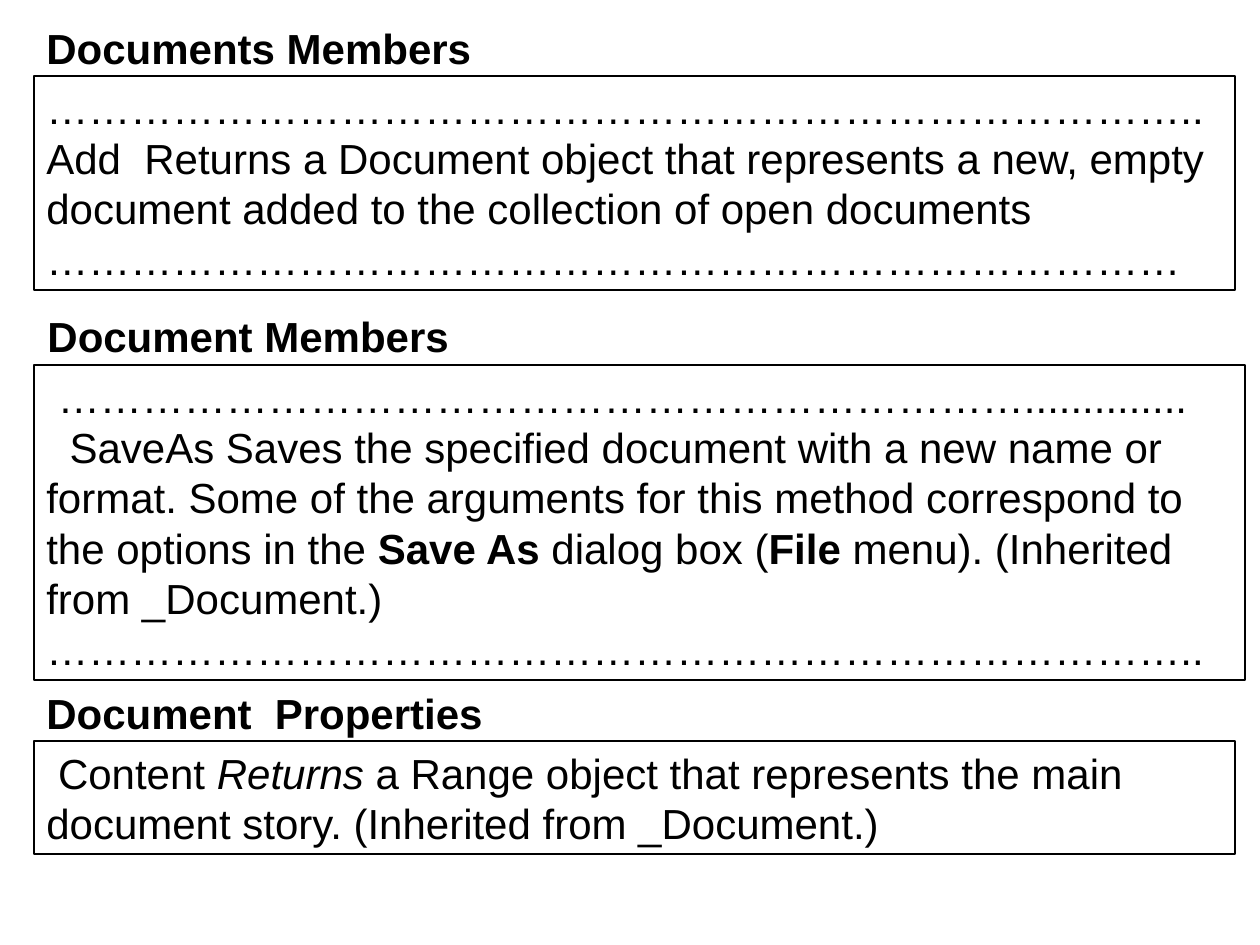
import pptx
import pptx.dml.color
import pptx.enum.shapes
import pptx.enum.text
import pptx.util
from dataclasses import dataclass

PX_PER_INCH = 126


@dataclass(frozen=True)
class Theme:
    font: str = "Arial"
    ink: pptx.dml.color.RGBColor = pptx.dml.color.RGBColor(0, 0, 0)
    text_pt: float = 24
    line_pt: float = 28.8
    border_pt: float = 0.75


@dataclass(frozen=True)
class Span:
    text: str
    bold: bool = False
    italic: bool = False


@dataclass(frozen=True)
class Block:
    left: int
    top: int
    width: int
    height: int
    spans: tuple[Span, ...]


@dataclass(frozen=True)
class Section:
    heading: Block
    body: Block


THEME = Theme()


def px(length: int) -> int:
    return round(length * pptx.util.Inches(1) / PX_PER_INCH)


def write(shape, spans: tuple[Span, ...]) -> None:
    """Fill a shape with one left-aligned paragraph; newlines become line breaks."""
    frame = shape.text_frame
    frame.word_wrap = True
    frame.vertical_anchor = pptx.enum.text.MSO_ANCHOR.TOP
    paragraph = frame.paragraphs[0]
    paragraph.alignment = pptx.enum.text.PP_ALIGN.LEFT
    paragraph.line_spacing = pptx.util.Pt(THEME.line_pt)
    paragraph.font.name = THEME.font
    paragraph.font.size = pptx.util.Pt(THEME.text_pt)
    paragraph.font.color.rgb = THEME.ink
    for span in spans:
        for index, line in enumerate(span.text.split("\n")):
            if index:
                paragraph.add_line_break()
            run = paragraph.add_run()
            run.text = line
            run.font.color.rgb = THEME.ink
            if span.bold:
                run.font.bold = True
            if span.italic:
                run.font.italic = True


def place(block: Block) -> tuple[int, int, int, int]:
    return px(block.left), px(block.top), px(block.width), px(block.height)


def draw_heading(slide, block: Block) -> None:
    write(slide.shapes.add_textbox(*place(block)), block.spans)


def draw_body(slide, block: Block) -> None:
    frame = slide.shapes.add_shape(
        pptx.enum.shapes.MSO_SHAPE.RECTANGLE, *place(block))
    frame.shadow.inherit = False
    frame.fill.background()
    frame.line.color.rgb = THEME.ink
    frame.line.width = pptx.util.Pt(THEME.border_pt)
    write(frame, block.spans)


# Dotted rules that stand for members left out of the listing
DOTS = "…" * 27 * 2
SHORT_RULE = "………………………………………………………………………"
LONG_RULE = SHORT_RULE + ".."
MIXED_RULE = "……………………………………………………………" + "." * 14

SECTIONS = (
    Section(
        Block(34, 16, 1201, 63, (Span("Documents Members", bold=True),)),
        Block(34, 76, 1201, 214, (
            Span(f"{LONG_RULE}\nAdd  Returns a Document object that represents "
                 "a new, empty document added to the collection of open "
                 f"documents\n{SHORT_RULE}"),
        )),
    ),
    Section(
        Block(35, 304, 1191, 63, (Span("Document Members", bold=True),)),
        Block(34, 365, 1211, 315, (
            Span(f" {MIXED_RULE}\n  SaveAs Saves the specified document with a "
                 "new name or format. Some of the arguments for this method "
                 "correspond to the options in the "),
            Span("Save As ", bold=True),
            Span("dialog box ("),
            Span("File", bold=True),
            Span(f" menu). (Inherited from _Document.)\n{LONG_RULE}"),
        )),
    ),
    Section(
        Block(34, 681, 755, 63, (Span("Document  Properties", bold=True),)),
        Block(34, 741, 1201, 113, (
            Span(" Content "),
            Span("Returns", italic=True),
            Span(" a Range object that represents the main document story. "
                 "(Inherited from _Document.)"),
        )),
    ),
)


def main() -> None:
    deck = pptx.Presentation()
    deck.slide_width, deck.slide_height = px(1260), px(945)
    slide = deck.slides.add_slide(deck.slide_layouts[6])
    for section in SECTIONS:
        draw_heading(slide, section.heading)
        draw_body(slide, section.body)
    deck.save("out.pptx")


if __name__ == "__main__":
    main()
